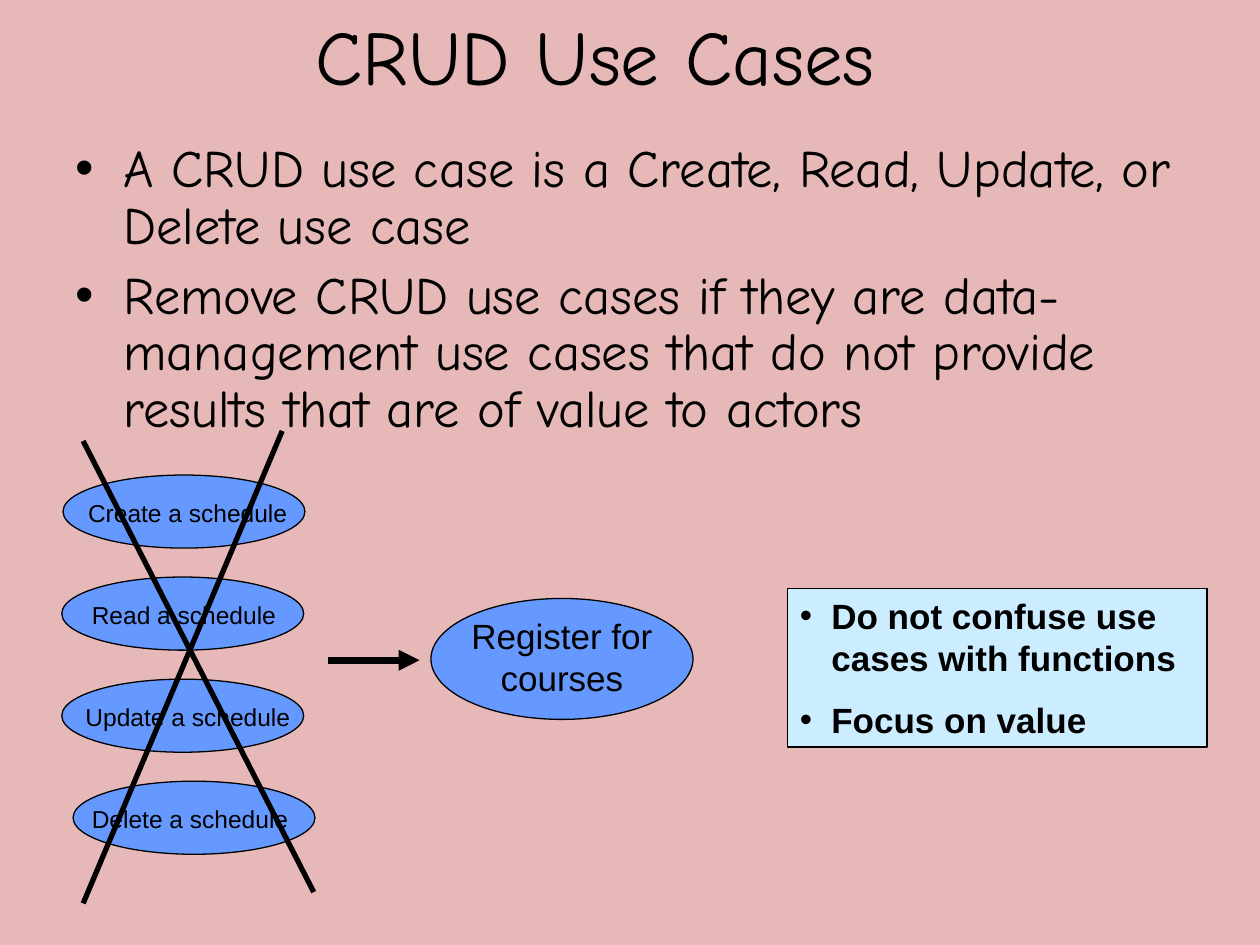
import pptx
import pptx.util
import pptx.dml.color
import pptx.enum.shapes
import pptx.enum.text
import pptx.oxml.ns
import lxml.etree

# Content
TITLE = "CRUD Use Cases"
POINTS = [
    "A CRUD use case is a Create, Read, Update, or Delete use case",
    "Remove CRUD use cases if they are data- management use cases "
    "that do not provide results that are of value to actors",
]
CASES = [  # text, oval left, label left
    ("Create a schedule", 0.5, 0.6),
    ("Read a schedule", 0.49, 0.63),
    ("Update a schedule", 0.49, 0.58),
    ("Delete a schedule", 0.58, 0.63),
]
GOAL = ["Register for", "courses"]
NOTES = ["Do not confuse use cases with functions", "Focus on value"]
LINES = [  # x1, y1, x2, y2, width, arrow
    (2.6, 5.24, 3.33, 5.24, 4, True),
    (0.66, 3.5, 2.49, 7.08, 3, False),
    (2.24, 3.42, 0.66, 7.17, 3, False),
]
INK, PINK, BLUE, PALE = "000000", "E6B9B8", "6699FF", "CCECFF"
TOP, STEP, DROP = 3.77, 0.81, 0.13  # oval column and label offset

KIND = pptx.enum.shapes.MSO_SHAPE
ALIGN = pptx.enum.text.PP_ALIGN
ANCHOR = pptx.enum.text.MSO_ANCHOR
Inch, Pt = pptx.util.Inches, pptx.util.Pt


def paint(part, color):
    if hasattr(part, "solid"):
        part.solid()
        part = part.fore_color
    part.rgb = pptx.dml.color.RGBColor.from_string(color)


def place(shape, *box):
    shape.left, shape.top, shape.width, shape.height = map(Inch, box)


def add_tag(parent, name, **attrs):
    tag = lxml.etree.SubElement(parent, pptx.oxml.ns.qn("a:" + name))
    for key, value in attrs.items():
        tag.set(key, value)
    return tag


def write(shape, lines, size, font="Arial", bold=False, align=ALIGN.LEFT,
          anchor=ANCHOR.TOP, indent=0, gap=0, space=None, wrap=True):
    frame = shape.text_frame
    frame.auto_size = pptx.enum.text.MSO_AUTO_SIZE.NONE
    frame.word_wrap, frame.vertical_anchor = wrap, anchor
    for i, line in enumerate(lines):
        para = frame.paragraphs[0] if i == 0 else frame.add_paragraph()
        para.alignment, para.line_spacing = align, space
        para.space_before = Pt(gap if i else 0)
        if indent:
            props = para._p.get_or_add_pPr()
            props.set("marL", str(Inch(indent)))
            props.set("indent", str(-Inch(indent)))
            add_tag(add_tag(props, "buClr"), "srgbClr", val=INK)
            add_tag(props, "buFont", typeface="Arial")
            add_tag(props, "buChar", char="•")
        run = para.add_run()
        run.text = line
        run.font.name, run.font.size, run.font.bold = font, Pt(size), bold
        paint(run.font.fill, INK)


def draw(kind, box, color):
    shape = slide.shapes.add_shape(kind, *map(Inch, box))
    shape.shadow.inherit = False
    paint(shape.fill, color)
    paint(shape.line.fill, INK)
    shape.line.width = Pt(0.75)
    return shape


def label(box, lines, size, **style):
    write(slide.shapes.add_textbox(*map(Inch, box)), lines, size, **style)


deck = pptx.Presentation()
deck.slide_width, deck.slide_height = Inch(10), Inch(7.5)
slide = deck.slides.add_slide(deck.slide_layouts[1])
paint(slide.background.fill, PINK)

# Title and main points
title, body = slide.placeholders
place(title, 0, 0, 9.45, 0.87)
write(title, [TITLE], 44, font="Comic Neue", align=ALIGN.CENTER,
      anchor=ANCHOR.MIDDLE)
place(body, 0.5, 1.08, 9, 2.67)
write(body, POINTS, 30, font="Comic Neue", indent=0.38, gap=7.5, space=0.9)

# Rejected use cases
for row, (text, left, start) in enumerate(CASES):
    top = TOP + row * STEP
    draw(KIND.OVAL, (left, top, 1.92, 0.58), BLUE)
    label((start, top + DROP, 1.81, 0.34), [text], 14, wrap=False)

# Use case to keep
draw(KIND.OVAL, (3.42, 4.75, 2.08, 0.96), BLUE)
label((3.42, 4.83, 2.08, 0.77), GOAL, 20, align=ALIGN.CENTER)

# Arrow and crossing lines
for x1, y1, x2, y2, width, arrow in LINES:
    line = slide.shapes.add_connector(
        pptx.enum.shapes.MSO_CONNECTOR.STRAIGHT,
        *map(Inch, (x1, y1, x2, y2)))
    paint(line.line.fill, INK)
    line.line.width = Pt(width)
    if arrow:
        add_tag(line.line._get_or_add_ln(), "tailEnd", type="triangle")
    add_tag(line._element.spPr, "effectLst")

# Advice box
advice = draw(KIND.RECTANGLE, (6.25, 4.67, 3.33, 1.26), PALE)
write(advice, NOTES, 20, bold=True, indent=0.25, gap=11.2)

deck.save("out.pptx")
